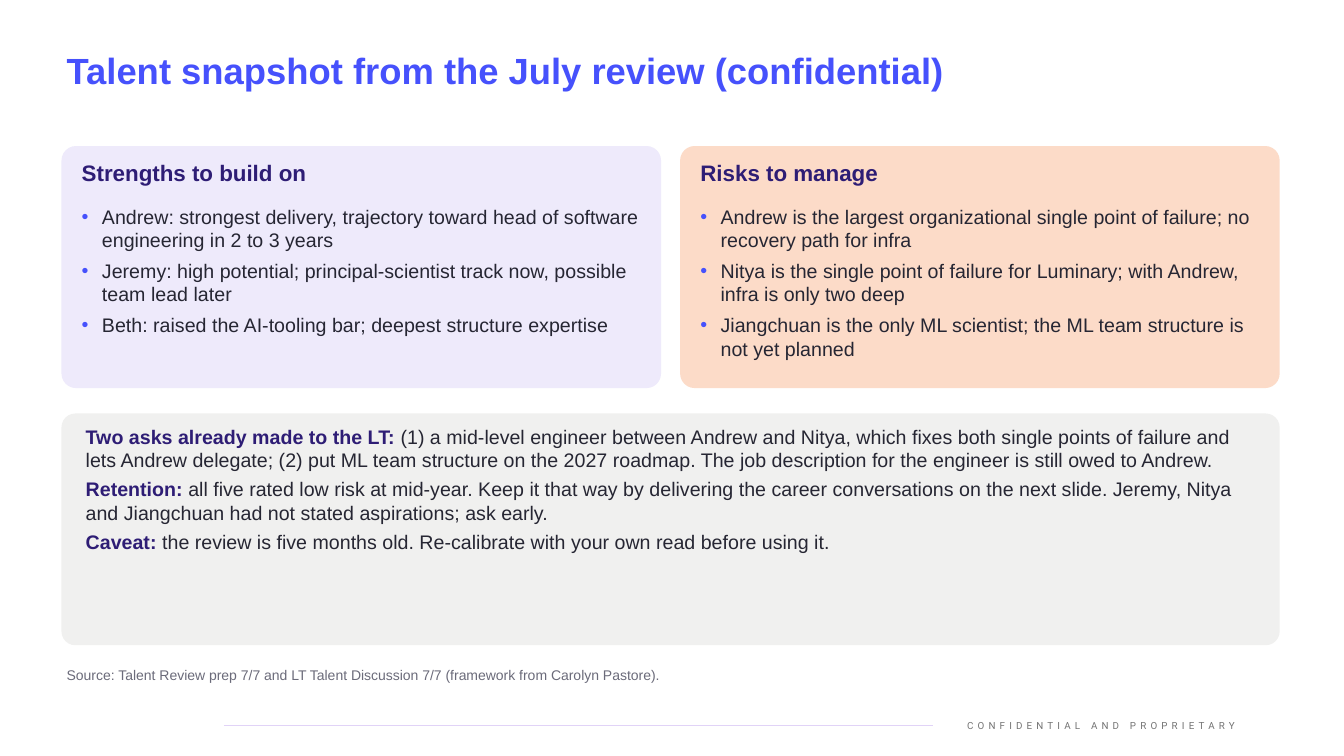
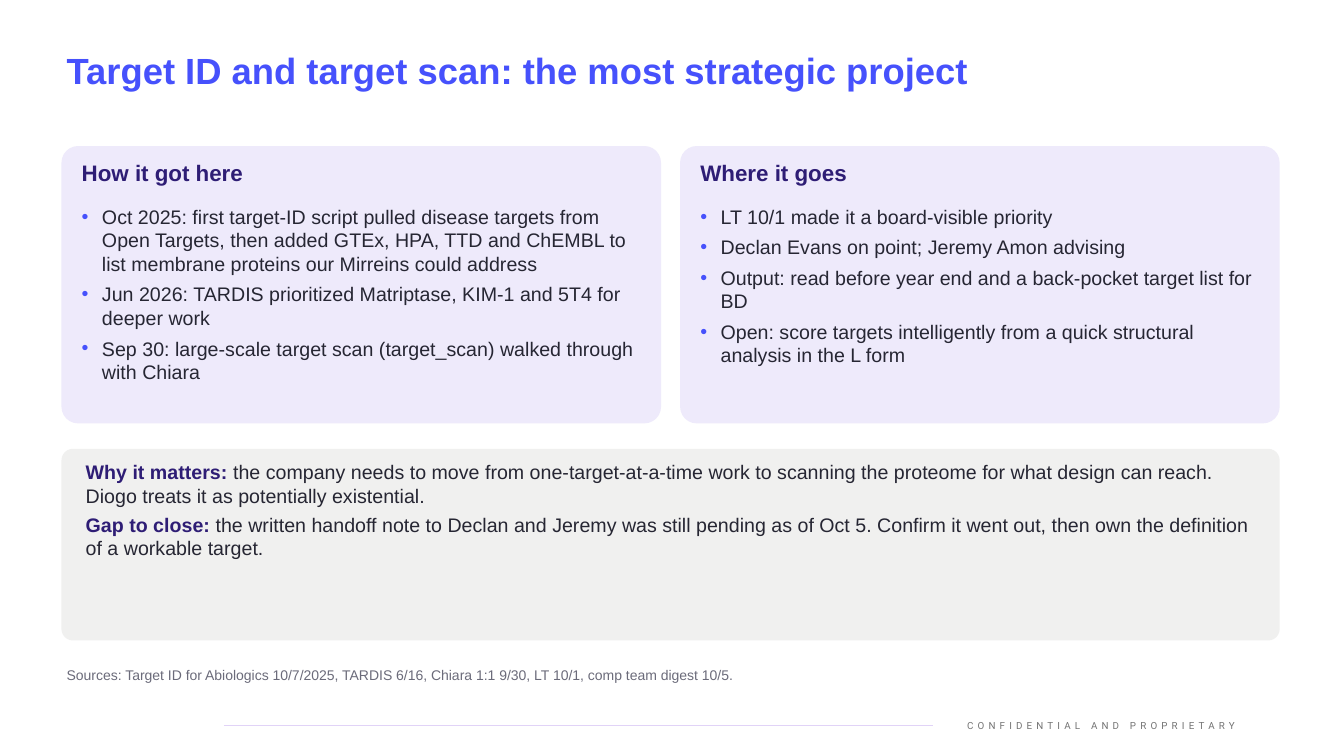
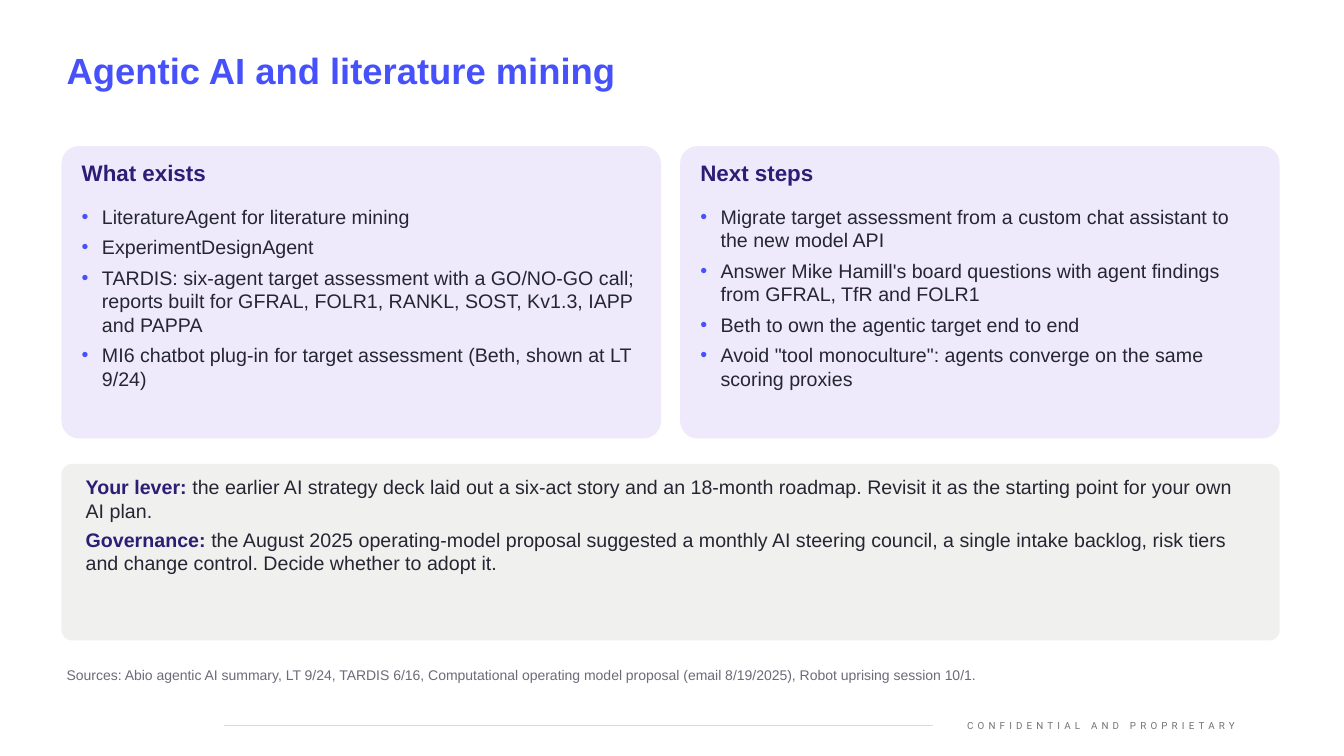
from lxml import etree
from pptx import Presentation
from pptx import util as u
from pptx.dml.color import RGBColor
from pptx.enum import shapes, text
from pptx.oxml.ns import qn

BLUE, INDIGO, INK = "4651FC", "2E1D75", "262633"
LILAC, PEACH, MIST = "EEEAFB", "FCDBC8", "F0F0EF"
GREY, FOOTER_GREY, RULE = "6B6B7A", "737373", "E1D3F7"

LEFT, CARD_TOP, CARD_WIDTH, CARD_GAP = 1.55, 3.68, 15.11, 0.48
FULL_WIDTH = 2 * CARD_WIDTH + CARD_GAP
CARD_LEFTS = [LEFT, LEFT + CARD_WIDTH + CARD_GAP]
CARD_PAD, LIST_OFFSET, NOTE_GAP = 0.38, 1.4, 0.64
INSETS = (0.13, 0.08, 0.13, 0.08)

SLIDES = [
    {
        "title": "Talent snapshot from the July review (confidential)",
        "card_height": 6.1,
        "note_height": 5.84,
        "cards": [
            ("Strengths to build on", LILAC, [
                "Andrew: strongest delivery, trajectory toward head of software engineering in 2 to 3 years",
                "Jeremy: high potential; principal-scientist track now, possible team lead later",
                "Beth: raised the AI-tooling bar; deepest structure expertise",
            ]),
            ("Risks to manage", PEACH, [
                "Andrew is the largest organizational single point of failure; no recovery path for infra",
                "Nitya is the single point of failure for Luminary; with Andrew, infra is only two deep",
                "Jiangchuan is the only ML scientist; the ML team structure is not yet planned",
            ]),
        ],
        "notes": [
            ("Two asks already made to the LT: ",
             "(1) a mid-level engineer between Andrew and Nitya, which fixes both single points of failure "
             "and lets Andrew delegate; (2) put ML team structure on the 2027 roadmap. The job description "
             "for the engineer is still owed to Andrew."),
            ("Retention: ",
             "all five rated low risk at mid-year. Keep it that way by delivering the career conversations "
             "on the next slide. Jeremy, Nitya and Jiangchuan had not stated aspirations; ask early."),
            ("Caveat: ",
             "the review is five months old. Re-calibrate with your own read before using it."),
        ],
        "source": "Source: Talent Review prep 7/7 and LT Talent Discussion 7/7 (framework from Carolyn Pastore).",
    },
    {
        "title": "Target ID and target scan: the most strategic project",
        "card_height": 6.99,
        "note_height": 4.83,
        "cards": [
            ("How it got here", LILAC, [
                "Oct 2025: first target-ID script pulled disease targets from Open Targets, then added GTEx, "
                "HPA, TTD and ChEMBL to list membrane proteins our Mirreins could address",
                "Jun 2026: TARDIS prioritized Matriptase, KIM-1 and 5T4 for deeper work",
                "Sep 30: large-scale target scan (target_scan) walked through with Chiara",
            ]),
            ("Where it goes", LILAC, [
                "LT 10/1 made it a board-visible priority",
                "Declan Evans on point; Jeremy Amon advising",
                "Output: read before year end and a back-pocket target list for BD",
                "Open: score targets intelligently from a quick structural analysis in the L form",
            ]),
        ],
        "notes": [
            ("Why it matters: ",
             "the company needs to move from one-target-at-a-time work to scanning the proteome for what "
             "design can reach. Diogo treats it as potentially existential."),
            ("Gap to close: ",
             "the written handoff note to Declan and Jeremy was still pending as of Oct 5. Confirm it went "
             "out, then own the definition of a workable target."),
        ],
        "source": "Sources: Target ID for Abiologics 10/7/2025, TARDIS 6/16, Chiara 1:1 9/30, LT 10/1, "
                  "comp team digest 10/5.",
    },
    {
        "title": "Agentic AI and literature mining",
        "card_height": 7.37,
        "note_height": 4.45,
        "cards": [
            ("What exists", LILAC, [
                "LiteratureAgent for literature mining",
                "ExperimentDesignAgent",
                "TARDIS: six-agent target assessment with a GO/NO-GO call; reports built for GFRAL, FOLR1, "
                "RANKL, SOST, Kv1.3, IAPP and PAPPA",
                "MI6 chatbot plug-in for target assessment (Beth, shown at LT 9/24)",
            ]),
            ("Next steps", LILAC, [
                "Migrate target assessment from a custom chat assistant to the new model API",
                "Answer Mike Hamill's board questions with agent findings from GFRAL, TfR and FOLR1",
                "Beth to own the agentic target end to end",
                "Avoid \"tool monoculture\": agents converge on the same scoring proxies",
            ]),
        ],
        "notes": [
            ("Your lever: ",
             "the earlier AI strategy deck laid out a six-act story and an 18-month roadmap. Revisit it as "
             "the starting point for your own AI plan."),
            ("Governance: ",
             "the August 2025 operating-model proposal suggested a monthly AI steering council, a single "
             "intake backlog, risk tiers and change control. Decide whether to adopt it."),
        ],
        "source": "Sources: Abio agentic AI summary, LT 9/24, TARDIS 6/16, Computational operating model "
                  "proposal (email 8/19/2025), Robot uprising session 10/1.",
    },
]


def color(code):
    return RGBColor.from_string(code)


def place(box, left, top, width, height):
    box.left, box.top = u.Cm(left), u.Cm(top)
    box.width, box.height = u.Cm(width), u.Cm(height)


def add_bullet(paragraph):
    properties = paragraph._p.get_or_add_pPr()
    properties.set("marL", str(u.Cm(0.51)))
    properties.set("indent", str(-u.Cm(0.51)))
    bullet_color = etree.SubElement(properties, qn("a:buClr"))
    etree.SubElement(bullet_color, qn("a:srgbClr"), val=BLUE)
    etree.SubElement(properties, qn("a:buFont"), typeface="Arial")
    etree.SubElement(properties, qn("a:buChar"), char="•")


def write(box, paragraphs, size=14, ink=INK, bold=False, font="Arial", after=4, bullets=False,
          insets=INSETS, anchor=text.MSO_ANCHOR.TOP, align=text.PP_ALIGN.LEFT, spacing=1.0, tracking=0):
    frame = box.text_frame
    frame.word_wrap = True
    frame.auto_size = text.MSO_AUTO_SIZE.NONE
    frame.vertical_anchor = anchor
    frame.margin_left, frame.margin_top, frame.margin_right, frame.margin_bottom = map(u.Cm, insets)
    for index, content in enumerate(paragraphs):
        paragraph = frame.add_paragraph() if index else frame.paragraphs[0]
        if bullets:
            add_bullet(paragraph)
        paragraph.alignment = align
        paragraph.line_spacing = spacing
        paragraph.space_before, paragraph.space_after = u.Pt(0), u.Pt(after)
        if isinstance(content, str):
            pieces = [(content, ink, bold)]
        else:
            lead, rest = content
            pieces = [(lead, INDIGO, True), (rest, ink, bold)]
        for words, piece_ink, piece_bold in pieces:
            run = paragraph.add_run()
            run.text = words
            run.font.name, run.font.size = font, u.Pt(size)
            run.font.bold = piece_bold
            run.font.color.rgb = color(piece_ink)
            if tracking:
                run._r.get_or_add_rPr().set("spc", str(tracking * 100))


def add_text(slide, left, top, width, height, paragraphs, **look):
    box = slide.shapes.add_textbox(u.Cm(left), u.Cm(top), u.Cm(width), u.Cm(height))
    write(box, paragraphs, **look)
    return box


def add_panel(slide, left, top, width, height, fill):
    panel = slide.shapes.add_shape(shapes.MSO_SHAPE.ROUNDED_RECTANGLE,
                                   u.Cm(left), u.Cm(top), u.Cm(width), u.Cm(height))
    panel.adjustments[0] = 0.06
    panel.shadow.inherit = False
    panel.fill.solid()
    panel.fill.fore_color.rgb = color(fill)
    panel.line.fill.background()
    return panel


def send_to_back(slide, panel):
    slide.shapes.element.insert(2, panel._element)


def prepare_layout(layout):
    for holder in list(layout.placeholders):
        if holder.placeholder_format.idx >= 10:
            holder._element.getparent().remove(holder._element)
    frames = {holder.placeholder_format.idx: holder for holder in layout.placeholders}
    place(frames[0], LEFT, 1.14, 29.34, 1.4)
    for column, left in enumerate(CARD_LEFTS):
        place(frames[1 + 2 * column], left + CARD_PAD, CARD_TOP + 0.26, CARD_WIDTH - 2 * CARD_PAD, 1.02)


def add_shared_footer(slide):
    label = add_text(slide, 23.8, 18.01, 7.57, 0.56, ["CONFIDENTIAL AND PROPRIETARY"], size=7,
                     ink=FOOTER_GREY, font="Roboto", after=0, insets=(0.25, 0.13, 0.25, 0.13),
                     anchor=text.MSO_ANCHOR.MIDDLE, align=text.PP_ALIGN.RIGHT, tracking=3)
    rule = slide.shapes.add_connector(shapes.MSO_CONNECTOR.STRAIGHT,
                                      u.Cm(5.64), u.Cm(18.29), u.Cm(23.52), u.Cm(18.29))
    rule.line.color.rgb = color(RULE)
    rule.line.width = u.Pt(0.5)
    etree.SubElement(rule._element.spPr, qn("a:effectLst"))
    for part in (label, rule):
        slide.slide_layout.shapes.element.append(part._element)


def add_card(slide, column, heading, fill, points, height):
    left = CARD_LEFTS[column]
    send_to_back(slide, add_panel(slide, left, CARD_TOP, CARD_WIDTH, height, fill))
    write(slide.placeholders[1 + 2 * column], [heading], size=16, ink=INDIGO, bold=True)
    listing = slide.placeholders[2 + 2 * column]
    place(listing, left + CARD_PAD, CARD_TOP + LIST_OFFSET,
          CARD_WIDTH - 2 * CARD_PAD, height - LIST_OFFSET - 0.25)
    write(listing, points, after=5, bullets=True)


def add_notes_panel(slide, top, height, notes):
    add_panel(slide, LEFT, top, FULL_WIDTH, height, MIST)
    add_text(slide, LEFT + 0.48, top + 0.2, 29.72, height - 0.25, notes)


def fill_slide(slide, content):
    write(slide.shapes.title, [content["title"]], size=26, ink=BLUE, bold=True, after=0, spacing=0.9,
          insets=(0.13, 0.13, 0, 0.13), anchor=text.MSO_ANCHOR.MIDDLE)
    for column, (heading, fill, points) in enumerate(content["cards"]):
        add_card(slide, column, heading, fill, points, content["card_height"])
    note_top = CARD_TOP + content["card_height"] + NOTE_GAP
    add_notes_panel(slide, note_top, content["note_height"], content["notes"])
    add_text(slide, LEFT, 16.71, 29.21, 0.76, [content["source"]], size=10, ink=GREY)


def main():
    deck = Presentation()
    deck.slide_width, deck.slide_height = u.Cm(33.87), u.Cm(19.05)
    layout = deck.slide_layouts.get_by_name("Comparison")
    prepare_layout(layout)
    for index, content in enumerate(SLIDES):
        slide = deck.slides.add_slide(layout)
        if index == 0:
            add_shared_footer(slide)
        fill_slide(slide, content)
    deck.save("out.pptx")


if __name__ == "__main__":
    main()
